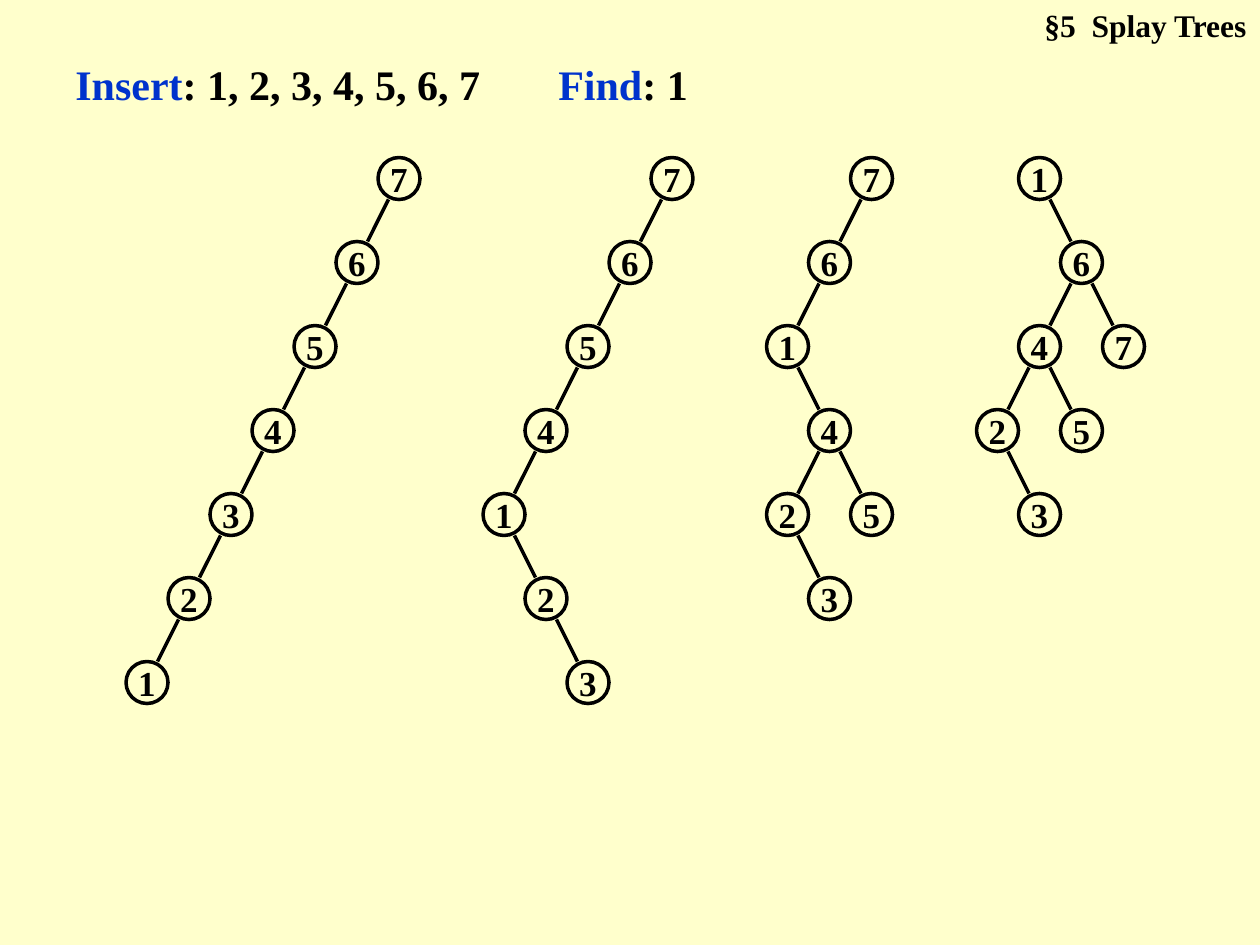
"""Build a slide of four splay trees: seven inserts, then a find of key 1."""
from lxml import etree
from pptx import Presentation
from pptx.dml.color import RGBColor
from pptx.enum.shapes import MSO_CONNECTOR, MSO_SHAPE
from pptx.enum.text import MSO_ANCHOR, MSO_AUTO_SIZE, PP_ALIGN
from pptx.oxml.ns import qn
from pptx.util import Pt

OVAL = MSO_SHAPE.OVAL
LINE = MSO_CONNECTOR.STRAIGHT
TOP, MIDDLE = MSO_ANCHOR.TOP, MSO_ANCHOR.MIDDLE
LEFT, RIGHT, CENTER = PP_ALIGN.LEFT, PP_ALIGN.RIGHT, PP_ALIGN.CENTER
NONE = MSO_AUTO_SIZE.NONE
BLACK, BLUE, CREAM = "000000", "0033CC", "FFFFCC"
SIZE, STEP, ROW, ROOT_Y = 24, 24, 48, 90


def color(code):
    return RGBColor.from_string(code)


def write(shape, runs, size, align, anchor, wrap):
    frame = shape.text_frame
    look = dict(margin_left=Pt(7.2), margin_right=Pt(7.2), margin_top=Pt(3.6),
                margin_bottom=Pt(3.6), vertical_anchor=anchor,
                word_wrap=wrap, auto_size=NONE)
    for name, value in look.items():
        setattr(frame, name, value)
    para = frame.paragraphs[0]
    para.alignment = align
    para.space_before = Pt(0)
    for text, code in runs:
        run = para.add_run()
        run.text = text
        for name, value in dict(name="Times New Roman", size=Pt(size), bold=True).items():
            setattr(run.font, name, value)
        run.font.color.rgb = color(code)


deck = Presentation()
deck.slide_width, deck.slide_height = Pt(720), Pt(540)
slide = deck.slides.add_slide(deck.slide_layouts[5])
slide.background.fill.solid()
slide.background.fill.fore_color.rgb = color(CREAM)

title = slide.shapes.title
for name, value in dict(left=564, top=0, width=155.5, height=29).items():
    setattr(title, name, Pt(value))
write(title, [("§5  Splay Trees", BLACK)], 18, RIGHT, TOP, True)

labels = [(36, 294, "Insert", ": 1, 2, 3, 4, 5, 6, 7"), (312, 102, "Find", ": 1")]
for left, width, verb, keys in labels:
    box = slide.shapes.add_textbox(Pt(left), Pt(30), Pt(width), Pt(36))
    write(box, [(verb, BLUE), (keys, BLACK)], 24, LEFT, TOP, True)

# Each key is placed by its route of left and right turns from the root.
trees = [
    (216, {"": 7, "L": 6, "LL": 5, "LLL": 4, "LLLL": 3, "LLLLL": 2, "LLLLLL": 1}),
    (372, {"": 7, "L": 6, "LL": 5, "LLL": 4, "LLLL": 1, "LLLLR": 2, "LLLLRR": 3}),
    (486, {"": 7, "L": 6, "LL": 1, "LLR": 4, "LLRL": 2, "LLRR": 5, "LLRLR": 3}),
    (582, {"": 1, "R": 6, "RL": 4, "RR": 7, "RLL": 2, "RLR": 5, "RLLR": 3}),
]
for root, nodes in trees:
    tree = slide.shapes.add_group_shape().shapes
    for route, key in nodes.items():
        x = root + STEP * (route.count("R") - route.count("L"))
        y = ROOT_Y + ROW * len(route)
        node = tree.add_shape(OVAL, Pt(x), Pt(y), Pt(SIZE), Pt(SIZE))
        node.shadow.inherit = False
        node.fill.background()
        inks = [node.line]
        write(node, [(str(key), BLACK)], 20, CENTER, MIDDLE, False)
        if route:
            start, end = (x + 30, x + 18) if route[-1] == "L" else (x - 6, x + 6)
            edge = tree.add_connector(LINE, Pt(start), Pt(y - ROW + SIZE), Pt(end), Pt(y))
            etree.SubElement(edge.element.spPr, qn("a:effectLst"))
            inks.append(edge.line)
        for ink in inks:
            ink.width = Pt(2)
            ink.color.rgb = color(BLACK)

deck.save("out.pptx")
